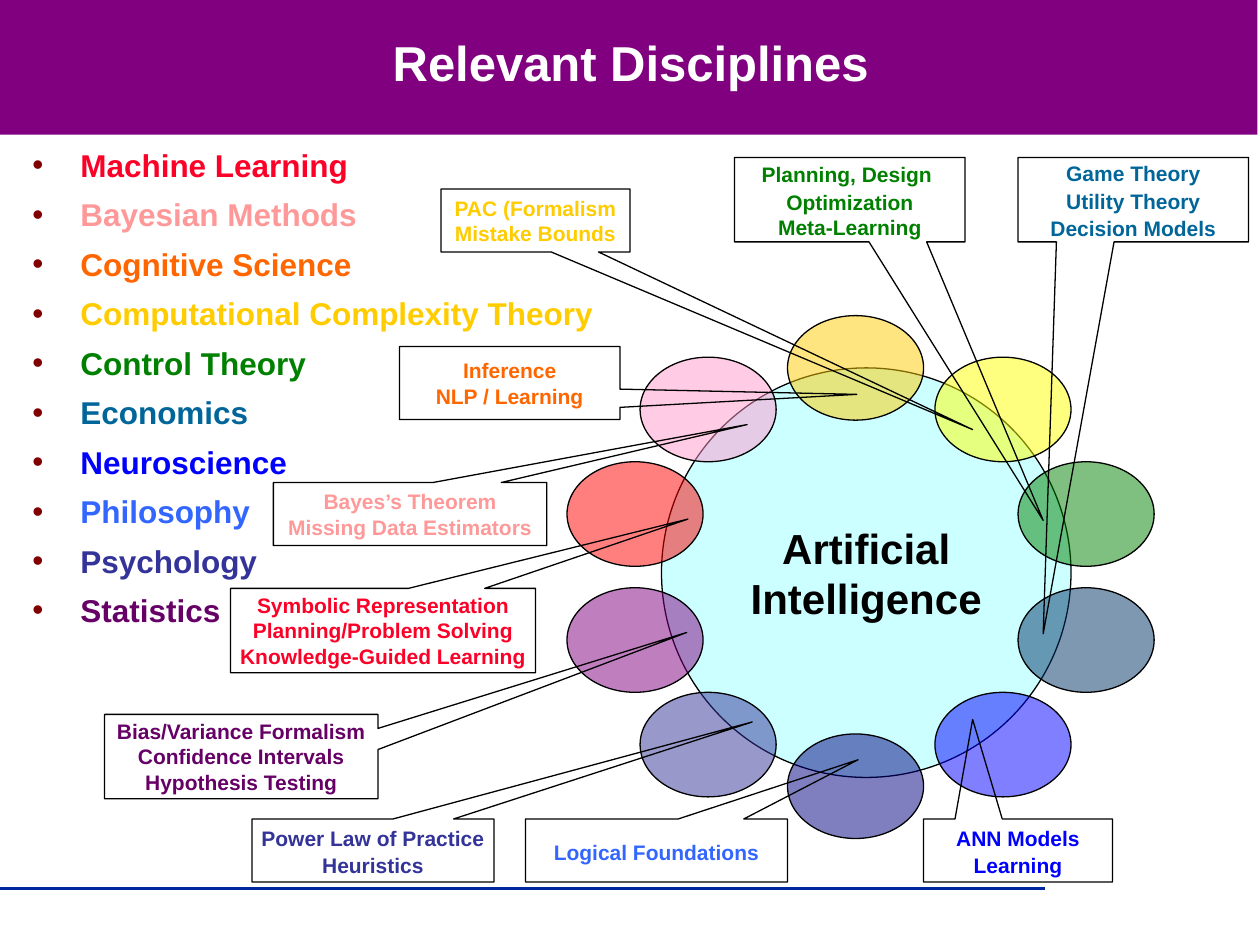
from lxml import etree
from pptx import Presentation
from pptx.dml.color import RGBColor
from pptx.enum.shapes import MSO_CONNECTOR, MSO_SHAPE
from pptx.enum.text import MSO_ANCHOR, PP_ALIGN
from pptx.oxml.ns import qn
from pptx.util import Inches, Pt

FONT = "Arial"
COLORS = {
    "banner": "800080", "rule": "00279F", "white": "FFFFFF", "black": "000000",
    "bullet": "800000", "hub": "CCFFFF",
    "learning": "FC0128", "bayes": "FF9999", "cognitive": "FF6600",
    "complexity": "FFCC00", "control": "008000", "economics": "006699",
    "neuro": "0000FF", "philosophy": "3366FF", "psychology": "333399",
    "statistics": "660066",
    "purple": "800080", "indigo": "333399", "blue": "0000FF", "navy": "000080",
    "slate": "003366", "red": "FF0000", "pink": "FF99CC", "yellow": "FFFF00",
    "gold": "FFCC00", "green": "008000",
}

TITLE = "Relevant Disciplines"
DISCIPLINES = [
    ("Machine Learning", "learning"),
    ("Bayesian Methods", "bayes"),
    ("Cognitive Science", "cognitive"),
    ("Computational Complexity Theory", "complexity"),
    ("Control Theory", "control"),
    ("Economics", "economics"),
    ("Neuroscience", "neuro"),
    ("Philosophy", "philosophy"),
    ("Psychology", "psychology"),
    ("Statistics", "statistics"),
]
HUB_LINES = ["Artificial", "Intelligence"]

# Ring of ellipses: each column is mirrored above and below the ring's centre
RING_CENTER_Y = 4.58
PETAL_SIZE = (1.08, 0.83)
RING_COLUMNS = [  # left, centre's distance from the ring's middle, upper, lower
    (4.5, 0.5, "red", "purple"),
    (5.08, 1.33, "pink", "indigo"),
    (6.25, 1.66, "gold", "navy"),
    (7.42, 1.33, "yellow", "blue"),
    (8.08, 0.5, "green", "slate"),
]

# Callouts: box (left, top, width, height), tip, colour, lines, spaced line count
CALLOUTS = [
    ((1.83, 4.67, 2.42, 0.67), (5.46, 4.12), "learning",
     ["Symbolic Representation", "Planning/Problem Solving",
      "Knowledge-Guided Learning"], 0),
    ((2.17, 3.83, 2.17, 0.5), (5.93, 3.37), "bayes",
     ["Bayes’s Theorem", "Missing Data Estimators"], 0),
    ((3.5, 1.5, 1.5, 0.5), (7.72, 3.41), "complexity",
     ["PAC (Formalism", "Mistake Bounds"], 0),
    ((3.17, 2.75, 1.75, 0.58), (6.8, 3.13), "cognitive",
     ["Inference", "NLP / Learning"], 0),
    ((5.83, 1.25, 1.83, 0.67), (8.28, 4.13), "control",
     ["Planning, Design ", "Optimization", "Meta-Learning"], 2),
    ((8.08, 1.25, 1.83, 0.67), (8.28, 5.03), "economics",
     ["Game Theory", "Utility Theory", "Decision Models"], 3),
    ((7.33, 6.5, 1.5, 0.5), (7.72, 5.71), "neuro",
     ["ANN Models", "Learning"], 2),
    ((4.17, 6.5, 2.08, 0.5), (6.81, 6.03), "philosophy",
     ["Logical Foundations"], 1),
    ((2, 6.5, 1.92, 0.5), (5.97, 5.73), "psychology",
     ["Power Law of Practice", "Heuristics"], 2),
    ((0.83, 5.67, 2.17, 0.67), (5.45, 5.02), "statistics",
     ["Bias/Variance Formalism", "Confidence Intervals",
      "Hypothesis Testing"], 0),
]


def rgb(name):
    return RGBColor.from_string(COLORS[name])


def add_run(paragraph, text, size, color):
    run = paragraph.add_run()
    run.text = text
    run.font.name = FONT
    run.font.size = Pt(size)
    run.font.bold = True
    run.font.color.rgb = rgb(color)


def add_outlined_shape(shapes, kind, box, fill=None, alpha=None):
    shape = shapes.add_shape(kind, *map(Inches, box))
    shape.shadow.inherit = False
    shape.line.color.rgb = rgb("black")
    shape.line.width = Pt(0.75)
    if fill is None:
        shape.fill.background()
        return shape
    shape.fill.solid()
    shape.fill.fore_color.rgb = rgb(fill)
    if alpha:
        color = shape.element.spPr.find(qn("a:solidFill")).find(qn("a:srgbClr"))
        etree.SubElement(color, qn("a:alpha"), val=str(alpha * 1000))
    return shape


def write_centered(shape, lines, size, color, spaced=0):
    frame = shape.text_frame
    frame.word_wrap = False
    frame.vertical_anchor = MSO_ANCHOR.MIDDLE
    for index, line in enumerate(lines):
        paragraph = frame.add_paragraph() if index else frame.paragraphs[0]
        paragraph.alignment = PP_ALIGN.CENTER
        paragraph.line_spacing = 1.1 if index < spaced else 1.0
        add_run(paragraph, line, size, color)


def add_bullet(paragraph):
    properties = paragraph._p.get_or_add_pPr()
    properties.set("marL", str(Inches(0.38)))
    properties.set("indent", str(-Inches(0.38)))
    bullet_color = etree.SubElement(properties, qn("a:buClr"))
    etree.SubElement(bullet_color, qn("a:srgbClr"), val=COLORS["bullet"])
    etree.SubElement(properties, qn("a:buFont"), typeface=FONT)
    etree.SubElement(properties, qn("a:buChar"), char="•")


def main():
    presentation = Presentation()
    presentation.slide_width = Inches(10)
    presentation.slide_height = Inches(7.5)
    slide = presentation.slides.add_slide(presentation.slide_layouts[5])
    shapes = slide.shapes

    # Title over its banner
    title = shapes.title
    title.left, title.top, title.width, title.height = map(
        Inches, (0.67, 0.08, 8.67, 0.83))
    write_centered(title, [TITLE], 28, "white")
    title.text_frame.word_wrap = True
    banner = shapes.add_shape(
        MSO_SHAPE.RECTANGLE, 0, 0, Inches(9.98), Inches(1.07))
    banner.shadow.inherit = False
    banner.fill.solid()
    banner.fill.fore_color.rgb = rgb("banner")
    banner.line.fill.background()
    title.element.addprevious(banner.element)

    # Footer rule
    rule = shapes.add_connector(
        MSO_CONNECTOR.STRAIGHT, 0, Inches(7.05), Inches(8.29), Inches(7.05))
    rule.line.color.rgb = rgb("rule")
    rule.line.width = Pt(2)
    etree.SubElement(rule.element.spPr, qn("a:effectLst"))

    # Discipline list
    body = shapes.add_textbox(*map(Inches, (0.16, 1.08, 9.67, 6.42)))
    frame = body.text_frame
    frame.word_wrap = True
    for index, (text, color) in enumerate(DISCIPLINES):
        paragraph = frame.add_paragraph() if index else frame.paragraphs[0]
        add_bullet(paragraph)
        paragraph.line_spacing = 1.1
        paragraph.space_before = Pt(4.5 if index else 0)
        add_run(paragraph, text, 18, color)

    # Hub
    hub = add_outlined_shape(
        shapes, MSO_SHAPE.OVAL, (5.25, 2.92, 3.25, 3.25), "hub")
    write_centered(hub, HUB_LINES, 24, "black")

    # Ring of translucent ellipses
    ring = shapes.add_group_shape()
    width, height = PETAL_SIZE
    for left, distance, upper, lower in RING_COLUMNS:
        for color, offset in ((upper, -distance), (lower, distance)):
            top = RING_CENTER_Y + offset - height / 2
            add_outlined_shape(ring.shapes, MSO_SHAPE.OVAL,
                               (left, top, width, height), color, alpha=50)

    # Callouts, each pointing at its ellipse
    for box, tip, color, lines, spaced in CALLOUTS:
        callout = add_outlined_shape(
            shapes, MSO_SHAPE.RECTANGULAR_CALLOUT, box)
        for axis in (0, 1):
            start, extent = box[axis], box[axis + 2]
            callout.adjustments[axis] = (tip[axis] - start - extent / 2) / extent
        write_centered(callout, lines, 12, color, spaced)

    presentation.save("out.pptx")


if __name__ == "__main__":
    main()
